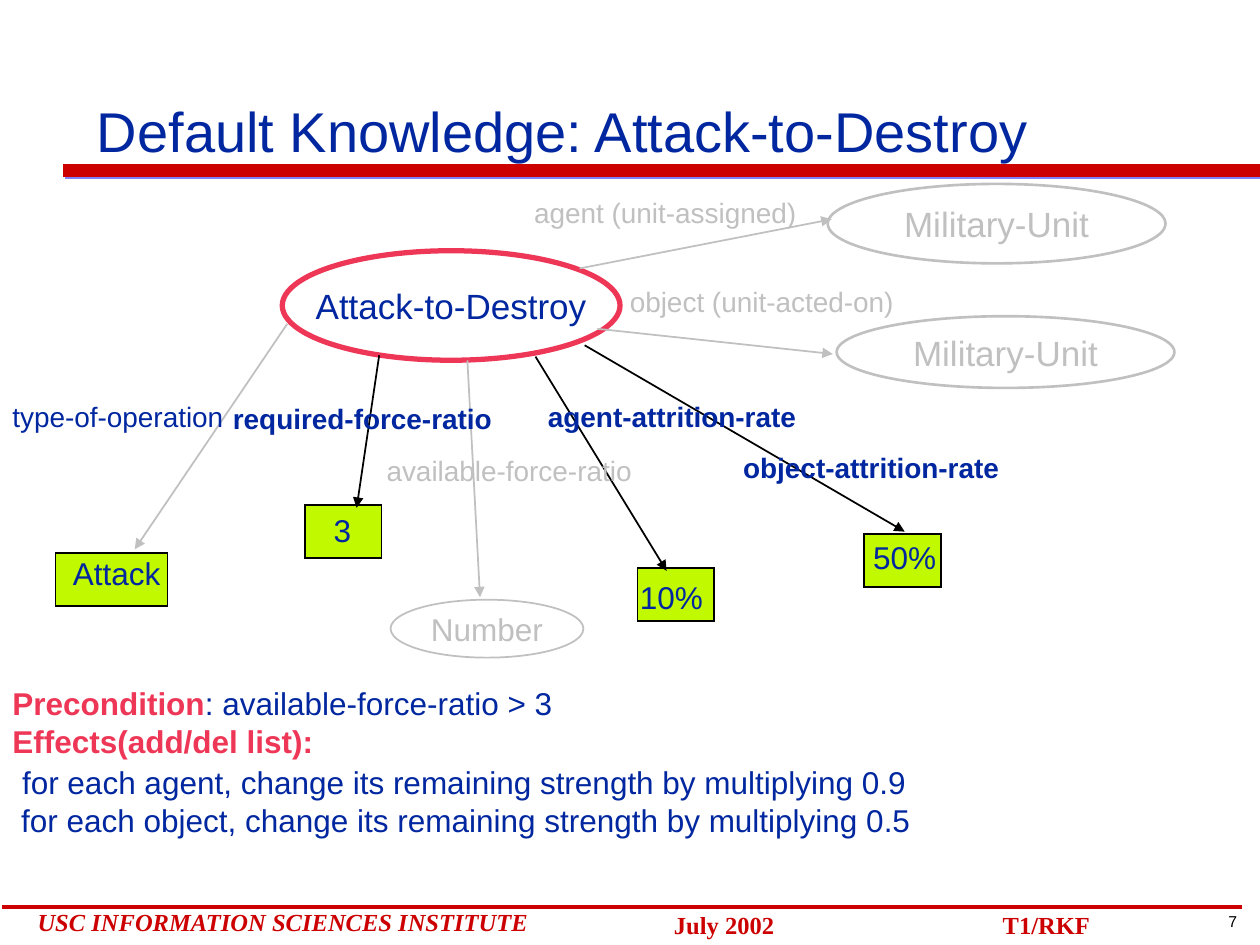
from dataclasses import dataclass

from lxml import etree
from pptx import Presentation
from pptx.dml.color import RGBColor
from pptx.enum.shapes import MSO_CONNECTOR, MSO_SHAPE
from pptx.enum.text import MSO_ANCHOR, MSO_AUTO_SIZE, PP_ALIGN
from pptx.oxml import parse_xml
from pptx.oxml.ns import nsdecls, qn
from pptx.util import Pt

RECT, OVAL = MSO_SHAPE.RECTANGLE, MSO_SHAPE.OVAL
LEFT, CENTER = PP_ALIGN.LEFT, PP_ALIGN.CENTER

BLUE = RGBColor(0x00, 0x27, 0x9F)
RED = RGBColor(0xCC, 0x00, 0x00)
PINK = RGBColor(0xEE, 0x37, 0x57)
GRAY = RGBColor(0xC0, 0xC0, 0xC0)
LIME = RGBColor(0xC0, 0xF9, 0x00)
BLACK = RGBColor(0x00, 0x00, 0x00)
SANS, SERIF = "Arial", "Times New Roman"


@dataclass
class Style:
    size: float
    color: RGBColor
    bold: bool = False
    italic: bool = False
    font: str = SANS


@dataclass
class Label:
    text: str
    box: tuple[float, float, float, float]
    style: Style
    align: PP_ALIGN = LEFT


@dataclass
class Node:
    text: str
    box: tuple[float, float, float, float]
    style: Style
    line: RGBColor
    weight: float


@dataclass
class Arrow:
    start: tuple[float, float]
    end: tuple[float, float]
    color: RGBColor


GRAY_LABEL = Style(16, GRAY)
BOLD_LABEL = Style(16, BLUE, bold=True)
VALUE = Style(18, BLUE)
KEYWORD = Style(18, PINK, bold=True)
FOOTER = Style(14, RED, bold=True, font=SERIF)
FOOTER_ITALIC = Style(14, RED, bold=True, italic=True, font=SERIF)

FOOTERS = [
    Label("7", (676.8, 517.7, 55.4, 18), Style(9, BLACK), CENTER),
    Label("USC INFORMATION SCIENCES INSTITUTE", (14.4, 514.8, 313.9, 24), FOOTER_ITALIC),
    Label("T1/RKF", (565.9, 516.2, 118, 24), FOOTER),
    Label("July 2002", (378, 516.2, 118, 24), FOOTER),
]
VALUE_BOXES = [
    (31.7, 316.1, 64.1, 30.2),
    (493.9, 305.3, 43.9, 30.2),
    (364.3, 324.7, 43.9, 30.2),
    (174.2, 288.7, 43.9, 30.2),
]
NODES = [
    Node("Attack-to-Destroy", (161.3, 143.3, 193, 62.6), Style(20, BLUE), PINK, 3),
    Node("Military-Unit", (473, 105.1, 193, 45.4), Style(20, GRAY), GRAY, 1.5),
    Node("Military-Unit", (478.1, 180.7, 193, 41), Style(20, GRAY), GRAY, 1.5),
    Node("Number", (223.2, 342.7, 110.2, 33.1), Style(18, GRAY), GRAY, 1),
]
ARROWS = [
    Arrow((331.2, 153.4), (475.2, 125.3), GRAY),
    Arrow((341.3, 187.9), (475.9, 202.3), GRAY),
    Arrow((164.2, 185), (77, 313.9), GRAY),
    Arrow((216.7, 203), (203.8, 290.2), BLACK),
    Arrow((267.1, 205.9), (274.3, 341.3), GRAY),
    Arrow((306, 203.8), (380.9, 326.2), BLACK),
    Arrow((334.1, 197.3), (517, 303.8), BLACK),
]
LABELS = [
    Label("agent (unit-assigned)", (298.1, 108, 170.6, 26.6), GRAY_LABEL),
    Label("object (unit-acted-on)", (352.8, 159.1, 169, 26.6), GRAY_LABEL),
    Label("type-of-operation", (0, 224.6, 139, 26.6), Style(16, BLUE)),
    Label("required-force-ratio", (126, 226.1, 165.6, 26.6), BOLD_LABEL),
    Label("available-force-ratio", (213.8, 255.6, 178.6, 26.6), GRAY_LABEL),
    Label("agent-attrition-rate", (306, 224.6, 181.4, 26.6), BOLD_LABEL),
    Label("object-attrition-rate", (417.6, 254.2, 168.5, 26.6), BOLD_LABEL),
    Label("10%", (358.6, 326.9, 54, 28.8), VALUE),
    Label("3", (183.6, 288.7, 28, 28.8), VALUE),
    Label("Attack", (34.6, 313.2, 68, 28.8), VALUE),
    Label("50%", (491.8, 303.8, 54, 28.8), VALUE),
]
# Each rule line: left indent, space before, runs
RULES = [
    (0, 0, [("Precondition", KEYWORD), (": available-force-ratio > 3", VALUE)]),
    (0, 0, [("Effects(add/del list):", KEYWORD)]),
    (5.5, 2, [("for each agent, change its remaining strength by multiplying 0.9", VALUE)]),
    (5, 0, [("for each object, change its remaining strength by multiplying 0.5", VALUE)]),
]


def points(values):
    return [Pt(v) for v in values]


def add_run(p, text: str, style: Style):
    r = p.add_run()
    r.text = text
    f = r.font
    f.name, f.size, f.bold, f.italic = style.font, Pt(style.size), style.bold, style.italic
    f.color.rgb = style.color


def add_shape(s, kind, box, line: RGBColor, weight: float, fill: RGBColor | None = None):
    sp = s.shapes.add_shape(kind, *points(box))
    sp.shadow.inherit = False
    if fill is None:
        sp.fill.background()
    else:
        sp.fill.solid()
        sp.fill.fore_color.rgb = fill
    sp.line.color.rgb = line
    sp.line.width = Pt(weight)
    etree.SubElement(sp.line._get_or_add_ln(), qn("a:miter"), lim="800000")
    return sp


def add_line(s, start, end, color: RGBColor, weight: float):
    line = s.shapes.add_connector(MSO_CONNECTOR.STRAIGHT, *points(start + end))
    line.line.color.rgb = color
    line.line.width = Pt(weight)
    etree.SubElement(line._element.spPr, qn("a:effectLst"))
    return line


def add_arrow(s, arrow: Arrow):
    line = add_line(s, arrow.start, arrow.end, arrow.color, 1)
    etree.SubElement(line.line._get_or_add_ln(), qn("a:tailEnd"), type="triangle")


def add_node(s, node: Node):
    tf = add_shape(s, OVAL, node.box, node.line, node.weight).text_frame
    tf.word_wrap = False
    tf.vertical_anchor = MSO_ANCHOR.MIDDLE
    p = tf.paragraphs[0]
    p.alignment = CENTER
    add_run(p, node.text, node.style)


def add_text_box(s, box):
    tf = s.shapes.add_textbox(*points(box)).text_frame
    tf.word_wrap = True
    tf.auto_size = MSO_AUTO_SIZE.SHAPE_TO_FIT_TEXT
    return tf


def add_label(s, label: Label):
    p = add_text_box(s, label.box).paragraphs[0]
    p.alignment = label.align
    add_run(p, label.text, label.style)


def add_title(s):
    title = s.shapes.title
    title.left, title.top, title.width, title.height = points((48.2, 6.5, 610.6, 90.7))
    tf = title.text_frame
    tf.auto_size = MSO_AUTO_SIZE.NONE
    tf.vertical_anchor = MSO_ANCHOR.BOTTOM
    p = tf.paragraphs[0]
    p.alignment = LEFT
    add_run(p, "Default Knowledge: Attack-to-Destroy", Style(32, BLUE))


def add_title_bar(s):
    bar = add_shape(s, RECT, (36.7, 94.3, 682.6, 6.5), RED, 1, RED)
    bar._element.spPr.find(qn("a:effectLst")).append(parse_xml(
        f'<a:outerShdw {nsdecls("a")} dist="17780" dir="2700000">'
        '<a:srgbClr val="8080FF"/></a:outerShdw>'))


def add_rules(s):
    tf = add_text_box(s, (0, 387.4, 728.6, 96.5))
    for i, (indent, before, runs) in enumerate(RULES):
        p = tf.paragraphs[0] if i == 0 else tf.add_paragraph()
        p._p.get_or_add_pPr().set("marL", str(Pt(indent)))
        p.space_before = Pt(before)
        for text, style in runs:
            add_run(p, text, style)


def main():
    prs = Presentation()
    prs.slide_width, prs.slide_height = Pt(720), Pt(540)
    s = prs.slides.add_slide(prs.slide_layouts[5])
    add_title_bar(s)
    add_line(s, (709.9, 518.4), (1.4, 518.4), RED, 2)
    for footer in FOOTERS:
        add_label(s, footer)
    add_title(s)
    for box in VALUE_BOXES:
        add_shape(s, RECT, box, BLACK, 1, LIME)
    for node in NODES:
        add_node(s, node)
    for arrow in ARROWS:
        add_arrow(s, arrow)
    for label in LABELS:
        add_label(s, label)
    add_rules(s)
    prs.save("out.pptx")


if __name__ == "__main__":
    main()
